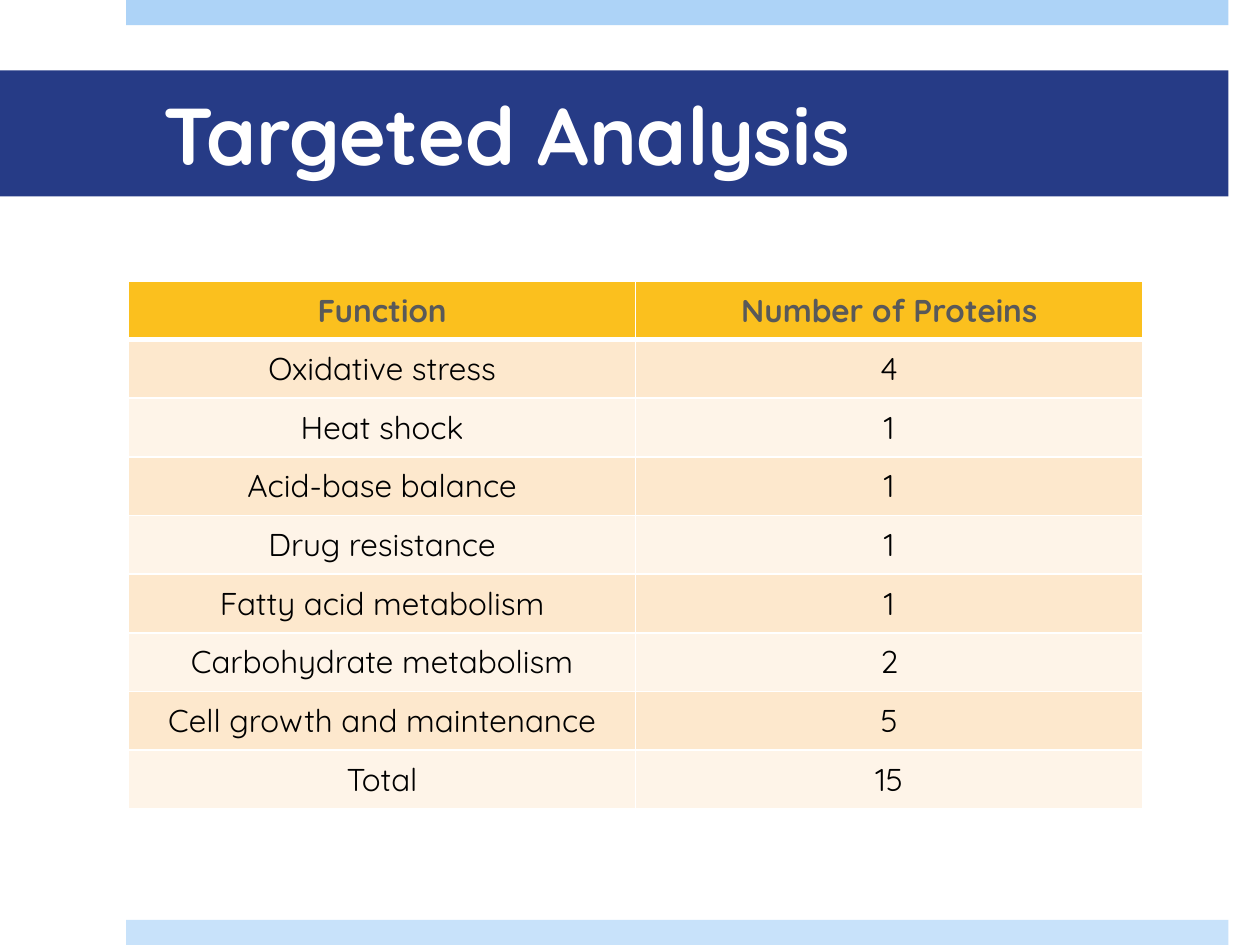
"""Build the Targeted Analysis slide."""
import pptx
import pptx.dml.color
import pptx.enum.shapes
import pptx.enum.text
import pptx.oxml
import pptx.oxml.ns
import pptx.util
from pptx.util import Inches

COLORS = {
    "top_band": "ADD3F7", "bottom_band": "C8E2FA", "title_band": "263B86",
    "white": "FFFFFF", "header": "FBC01E", "header_text": "595959",
    "odd_row": "FDE8CD", "even_row": "FEF4E8", "body_text": "000000",
}
FONT = "Quicksand"
PROTEIN_COUNTS = [
    ("Function", "Number of Proteins"),
    ("Oxidative stress", "4"),
    ("Heat shock", "1"),
    ("Acid-base balance", "1"),
    ("Drug resistance", "1"),
    ("Fatty acid metabolism", "1"),
    ("Carbohydrate metabolism", "2"),
    ("Cell growth and maintenance", "5"),
    ("Total", "15"),
]


def rgb(color):
    """Return the named colour."""
    return pptx.dml.color.RGBColor.from_string(COLORS[color])


def apply(target, formats):
    """Set each attribute of the target from a dict."""
    for attribute, value in formats.items():
        setattr(target, attribute, value)


def write(frame, text, alignment, size, color, bold):
    """Write one formatted paragraph into a text frame."""
    paragraph = frame.paragraphs[0]
    paragraph.alignment = alignment
    run = paragraph.add_run()
    run.text = text
    apply(run.font, {"name": FONT, "size": pptx.util.Pt(size), "bold": bold})
    run.font.color.rgb = rgb(color)


def add_band(slide, box, color):
    """Add a plain filled band in the box."""
    band = slide.shapes.add_shape(pptx.enum.shapes.MSO_SHAPE.RECTANGLE, *box)
    band.shadow.inherit = False
    band.fill.solid()
    band.fill.fore_color.rgb = rgb(color)
    band.line.fill.background()
    return band


def add_title(slide, box, text):
    """Add the title band with its text."""
    frame = add_band(slide, box, "title_band").text_frame
    apply(frame, {
        "word_wrap": True,
        "vertical_anchor": pptx.enum.text.MSO_ANCHOR.MIDDLE,
        "margin_left": Inches(1.3), "margin_right": Inches(0.3),
        "margin_top": Inches(0.05), "margin_bottom": Inches(0.05),
    })
    write(frame, text, pptx.enum.text.PP_ALIGN.LEFT, 46, "white", True)


def add_borders(cell, widths):
    """Draw white cell borders with a width in points for each side."""
    properties = cell._tc.get_or_add_tcPr()
    for side, width in widths.items():
        properties.append(pptx.oxml.parse_xml(
            f'<a:ln{side} {pptx.oxml.ns.nsdecls("a")} w="{pptx.util.Pt(width)}">'
            f'<a:solidFill><a:srgbClr val="{COLORS["white"]}"/></a:solidFill>'
            f'</a:ln{side}>'))


def add_protein_table(slide, box, rows):
    """Add the table of protein counts, with equal rows and columns."""
    left, top, width, height = box
    table = slide.shapes.add_table(len(rows), len(rows[0]), *box).table
    for column in table.columns:
        column.width = width // len(rows[0])
    for index, values in enumerate(rows):
        table.rows[index].height = height // len(rows)
        is_header = index == 0
        fill = "header" if is_header else ("even_row", "odd_row")[index % 2]
        text_color = "header_text" if is_header else "body_text"
        widths = {"L": 1, "R": 1, "T": 3 if index == 1 else 1,
                  "B": 3 if is_header else 1}
        for column_index, value in enumerate(values):
            cell = table.cell(index, column_index)
            add_borders(cell, widths)
            cell.fill.solid()
            cell.fill.fore_color.rgb = rgb(fill)
            cell.vertical_anchor = pptx.enum.text.MSO_ANCHOR.MIDDLE
            write(cell.text_frame, value, pptx.enum.text.PP_ALIGN.CENTER,
                  18, text_color, is_header)


def main():
    """Build and save the presentation."""
    deck = pptx.Presentation()
    apply(deck, {"slide_width": Inches(10), "slide_height": Inches(7.5)})
    slide = deck.slides.add_slide(deck.slide_layouts[6])
    add_band(slide, (Inches(1), 0, Inches(8.75), Inches(0.2)), "top_band")
    add_band(slide, (Inches(1), Inches(7.3), Inches(8.75), Inches(0.2)),
             "bottom_band")
    add_title(slide, (0, Inches(0.56), Inches(9.75), Inches(1)),
              "Targeted Analysis")
    add_protein_table(
        slide, (Inches(1.02), Inches(2.23), Inches(8.05), Inches(4.19)),
        PROTEIN_COUNTS)
    deck.save("out.pptx")


if __name__ == "__main__":
    main()
